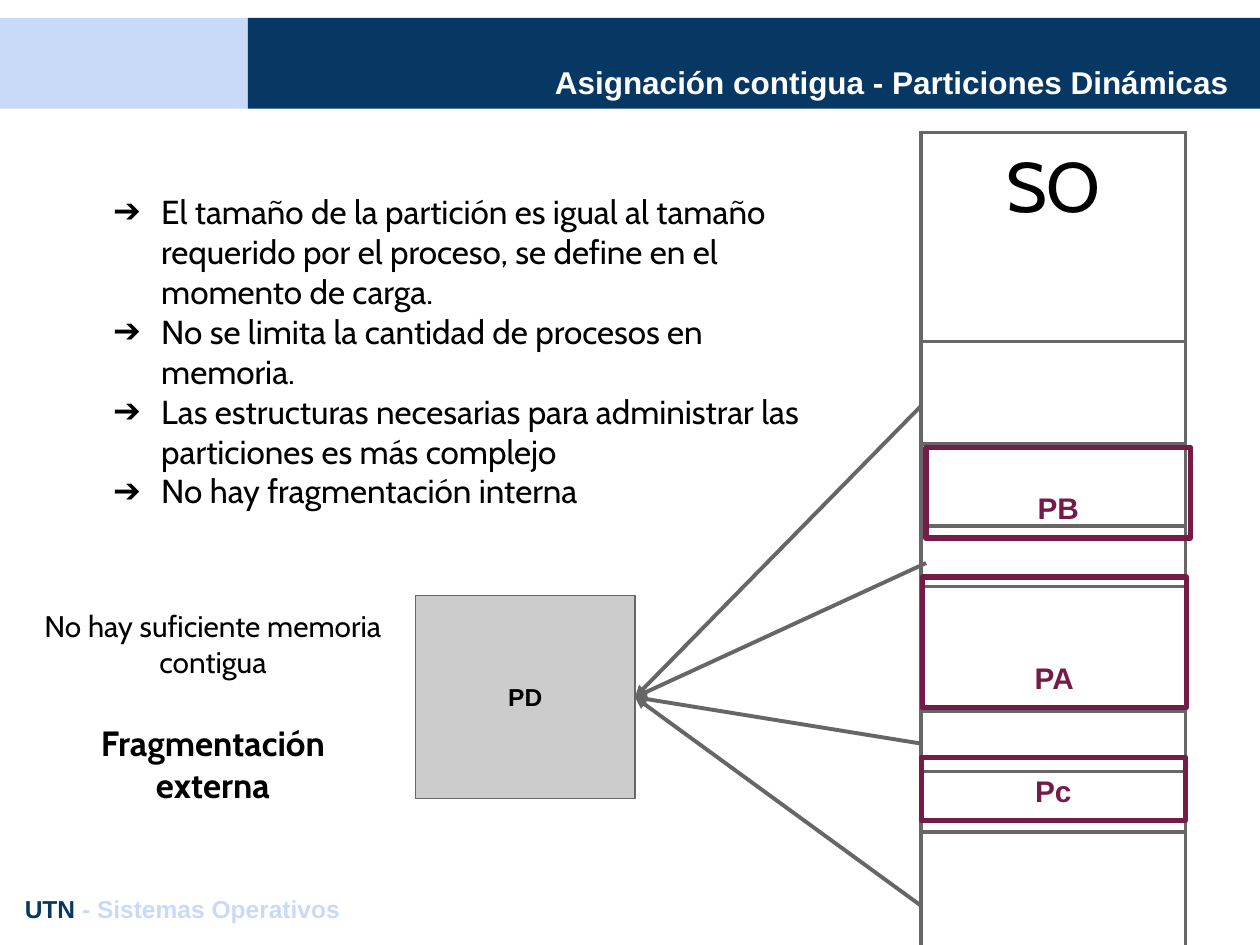
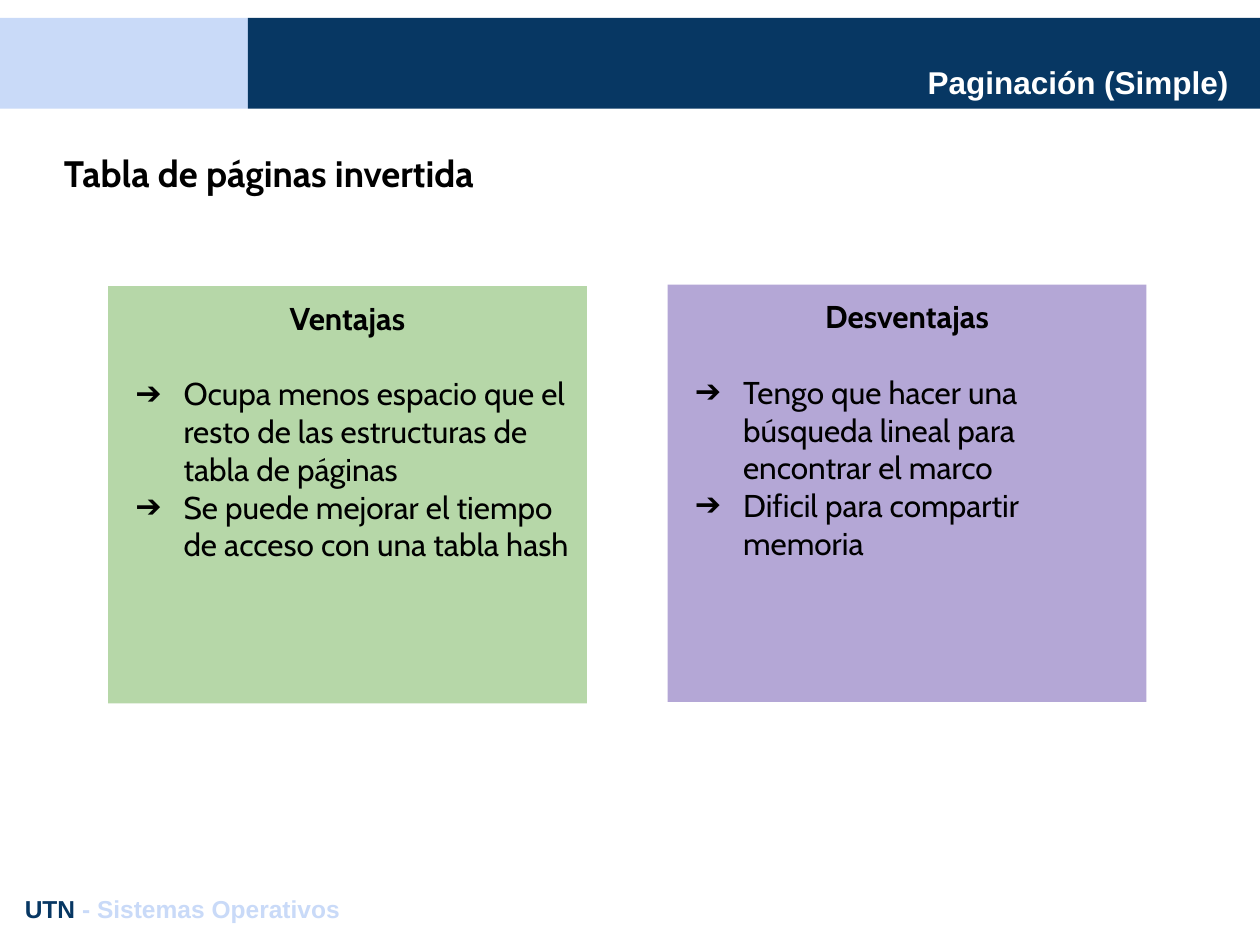
import pptx
import pptx.util
import pptx.dml.color
import pptx.enum.shapes
import pptx.enum.text
import pptx.oxml
import pptx.oxml.ns
from lxml import etree

Cm = pptx.util.Cm
Pt = pptx.util.Pt
RGBColor = pptx.dml.color.RGBColor
ALIGN = pptx.enum.text.PP_ALIGN
ANCHOR = pptx.enum.text.MSO_ANCHOR
qn = pptx.oxml.ns.qn

NAVY = RGBColor(0x07, 0x37, 0x63)
SKY = RGBColor(0xC9, 0xDA, 0xF8)
WHITE = RGBColor(0xFF, 0xFF, 0xFF)
BLACK = RGBColor(0, 0, 0)
GREY = RGBColor(0x66, 0x66, 0x66)
SILVER = RGBColor(0xCC, 0xCC, 0xCC)
WINE = RGBColor(0x74, 0x1B, 0x47)
GREEN = RGBColor(0xB6, 0xD7, 0xA8)
LILAC = RGBColor(0xB4, 0xA7, 0xD6)

SANS = "Arial"
CABIN = "Cabin"
PAD = Cm(0.25)
MEM_X, MEM_Y, MEM_W = 18.57, 2.67, 5.33
MEM_ROWS = [4.22, 2.06, 1.65, 1.22, 2.51, 1.22, 1.22, 2.62]


def frame(shape, anchor=ANCHOR.TOP):
    """Prepare the shape's text frame and return it."""
    area = shape.text_frame
    area.word_wrap = True
    area.auto_size = pptx.enum.text.MSO_AUTO_SIZE.NONE
    area.vertical_anchor = anchor
    area.margin_left = area.margin_right = PAD
    area.margin_top = area.margin_bottom = PAD
    return area


def mark(para, bullet):
    """Give the paragraph an arrow bullet, or none at all."""
    props = para._p.get_or_add_pPr()
    props.set("marL", str(Cm(1.27) if bullet else 0))
    props.set("indent", str(Cm(-0.97) if bullet else 0))
    if not bullet:
        etree.SubElement(props, qn("a:buNone"))
        return
    color = etree.SubElement(props, qn("a:buClr"))
    etree.SubElement(color, qn("a:srgbClr"), val=str(BLACK))
    etree.SubElement(props, qn("a:buChar"), char="➔")


def write(area, text, size=18, font=CABIN, color=BLACK, bold=False,
          align=ALIGN.LEFT, bullet=False, gap=0, join=False):
    """Add a paragraph, or with join a further run of the last one."""
    para = area.paragraphs[-1]
    if not join:
        if para.runs:
            para = area.add_paragraph()
        mark(para, bullet)
        para.alignment = align
        para.space_before = Pt(gap)
    run = para.add_run()
    run.text = text
    run.font.size = Pt(size)
    run.font.name = font
    run.font.bold = bold
    run.font.color.rgb = color


def place(shape, x, y, w, h):
    shape.left, shape.top = Cm(x), Cm(y)
    shape.width, shape.height = Cm(w), Cm(h)
    return shape


def rect(slide, x, y, w, h, fill=None, line=None, width=0.75):
    kind = pptx.enum.shapes.MSO_SHAPE.RECTANGLE
    shape = slide.shapes.add_shape(kind, Cm(x), Cm(y), Cm(w), Cm(h))
    shape.shadow.inherit = False
    if fill is None:
        shape.fill.background()
    else:
        shape.fill.solid()
        shape.fill.fore_color.rgb = fill
    if line is None:
        shape.line.fill.background()
    else:
        shape.line.color.rgb = line
        shape.line.width = Pt(width)
    return shape


def note(slide, x, y, w, h):
    """Add a text box and return its frame."""
    return frame(slide.shapes.add_textbox(Cm(x), Cm(y), Cm(w), Cm(h)))


def start(deck, layout, title):
    """Add a slide with the bands, title and footer all slides share."""
    slide = deck.slides.add_slide(deck.slide_layouts[layout])
    head = place(slide.shapes.title, 3.43, 1.02, 21.59, 1.27)
    for x, w, fill in [(0, 5, SKY), (5, 20.4, NAVY)]:
        band = rect(slide, x, 0.36, w, 1.83, fill)
        head.element.addprevious(band.element)
    write(frame(head, ANCHOR.BOTTOM), title, font=SANS, color=WHITE,
          bold=True, align=ALIGN.RIGHT)
    foot = note(slide, 0.25, 17.78, 24.92, 1.12)
    write(foot, "UTN ", 14, SANS, NAVY, True)
    write(foot, "- Sistemas Operativos", 14, SANS, SKY, True, join=True)
    return slide


def edge(cell):
    """Draw the four borders of a table cell."""
    props = cell._tc.get_or_add_tcPr()
    for spot, side in enumerate(["a:lnL", "a:lnR", "a:lnT", "a:lnB"]):
        line = etree.Element(qn(side), w=str(Pt(2.25)))
        fill = etree.SubElement(line, qn("a:solidFill"))
        etree.SubElement(fill, qn("a:srgbClr"), val=str(GREY))
        props.insert(spot, line)


def memory(slide):
    """Draw main memory as a one-column table."""
    table = slide.shapes.add_table(
        len(MEM_ROWS), 1, Cm(MEM_X), Cm(MEM_Y), Cm(MEM_W),
        Cm(sum(MEM_ROWS))).table
    table.first_row = table.horz_banding = False
    for row, tall in zip(table.rows, MEM_ROWS):
        row.height = Cm(tall)
        cell = row.cells[0]
        cell.fill.background()
        edge(cell)
    top = table.cell(0, 0)
    top.margin_top = top.margin_bottom = PAD
    write(top.text_frame, "SO", 40, align=ALIGN.CENTER)


def arrow(slide, x, y, goal):
    """Draw an arrow from a free block to the right side of goal."""
    kind = pptx.enum.shapes.MSO_CONNECTOR.STRAIGHT
    line = slide.shapes.add_connector(kind, Cm(x), Cm(y), Cm(x), Cm(y))
    line.end_connect(goal, 3)
    line.line.color.rgb = GREY
    line.line.width = Pt(2.25)
    etree.SubElement(line.line._get_or_add_ln(), qn("a:tailEnd"),
                     type="triangle")
    etree.SubElement(line.element.spPr, qn("a:effectLst"))


def dynamic(deck):
    slide = start(deck, 1, "Asignación contigua - Particiones Dinámicas")
    memory(slide)
    for name, x, y, h in [("PB", 18.67, 9.02, 1.83),
                          ("PA", 18.59, 11.63, 2.64),
                          ("Pc", 18.57, 15.27, 1.27)]:
        block = rect(slide, x, y, MEM_W, h, line=WINE, width=3)
        write(frame(block, ANCHOR.BOTTOM), name, 17, SANS, WINE, True,
              ALIGN.CENTER)

    body = frame(place(slide.placeholders[1], 1.73, 3.61, 14.73, 7.67))
    for item in [
            "El tamaño de la partición es igual al tamaño requerido por el "
            "proceso, se define en el momento de carga.",
            "No se limita la cantidad de procesos en memoria.",
            "Las estructuras necesarias para administrar las particiones "
            "es más complejo",
            "No hay fragmentación interna"]:
        write(body, item, 19, bullet=True)

    wait = rect(slide, 8.38, 12.01, 4.42, 4.09, SILVER, GREY)
    write(frame(wait, ANCHOR.MIDDLE), "PD", 14, SANS, bold=True,
          align=ALIGN.CENTER)
    for x, y in [(MEM_X, 8.18), (18.67, 11.35), (MEM_X, 14.99),
                 (MEM_X, 18.26)]:
        arrow(slide, x, y, wait)

    area = note(slide, 0.61, 12.01, 7.37, 4.52)
    write(area, "No hay suficiente memoria contigua", 17, align=ALIGN.CENTER)
    write(area, "Fragmentación externa", 20, bold=True, align=ALIGN.CENTER,
          gap=24)


def card(shape, x, y, fill, head, items):
    """Turn a body placeholder into a filled card with a headed list."""
    place(shape, x, y, 9.65, 8.41)
    shape.fill.solid()
    shape.fill.fore_color.rgb = fill
    area = frame(shape)
    write(area, head, bold=True, align=ALIGN.CENTER)
    for spot, item in enumerate(items):
        write(area, item, bullet=True, gap=0 if spot else 21.6)


def paging(deck):
    slide = start(deck, 3, "Paginación (Simple)")
    write(note(slide, 1.04, 2.79, 10.08, 1.5), "Tabla de páginas invertida",
          21, bold=True)
    card(slide.placeholders[1], 2.18, 5.77, GREEN, "Ventajas", [
        "Ocupa menos espacio que el resto de las estructuras de tabla "
        "de páginas",
        "Se puede mejorar el tiempo de acceso con una tabla hash"])
    card(slide.placeholders[2], 13.46, 5.74, LILAC, "Desventajas", [
        "Tengo que hacer una búsqueda lineal para encontrar el marco",
        "Dificil para compartir memoria"])


def main():
    deck = pptx.Presentation()
    deck.slide_width, deck.slide_height = Cm(25.4), Cm(19.05)
    dynamic(deck)
    paging(deck)
    deck.save("out.pptx")


if __name__ == "__main__":
    main()
